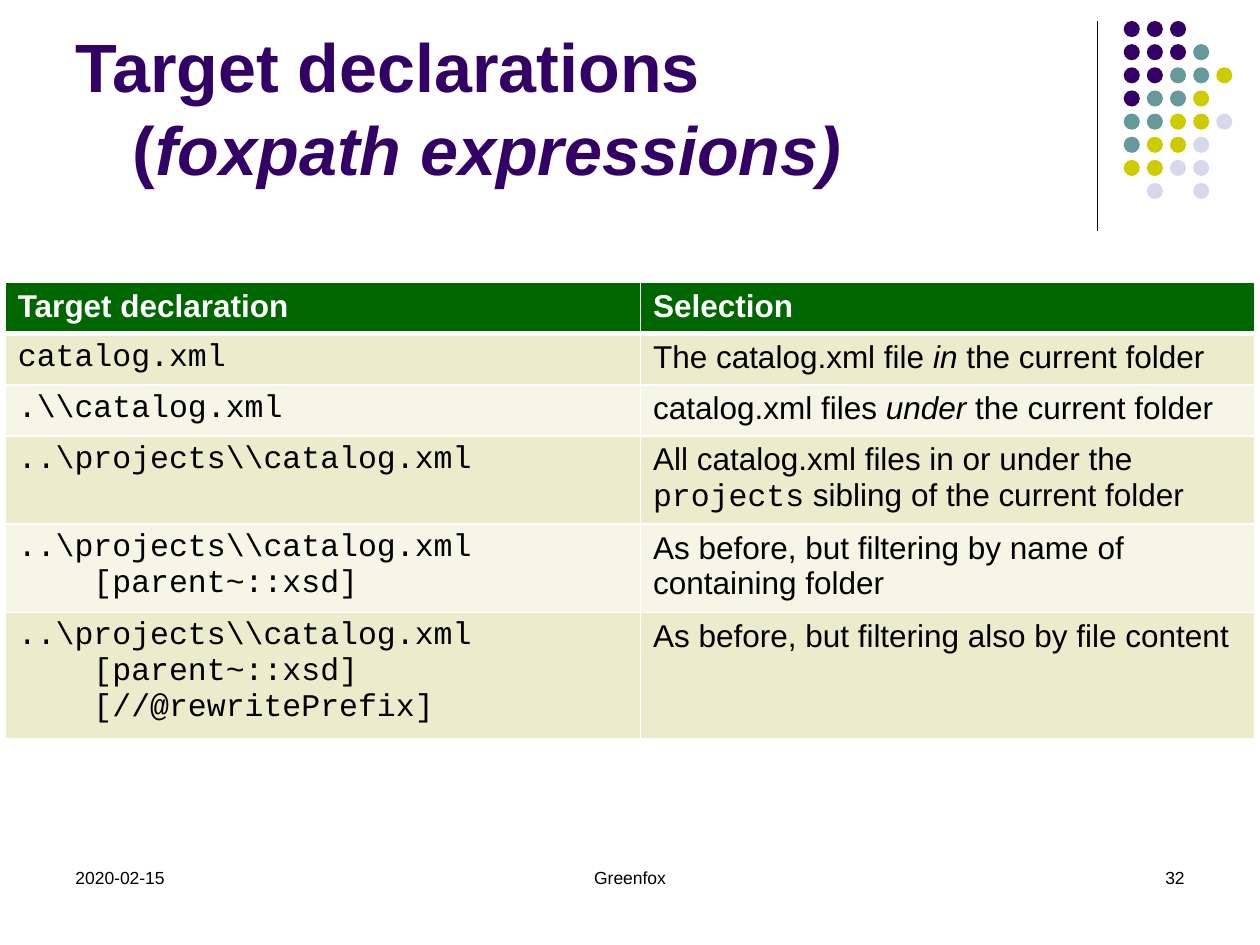
from dataclasses import dataclass

from lxml.etree import SubElement
from pptx import Presentation
from pptx.dml.color import RGBColor
from pptx.enum.shapes import MSO_CONNECTOR, MSO_SHAPE
from pptx.enum.text import MSO_ANCHOR, MSO_AUTO_SIZE, PP_ALIGN
from pptx.oxml.ns import qn
from pptx.util import Pt


@dataclass(frozen=True)
class Theme:
    sans: str = "Arial"
    mono: str = "Courier New"
    title_size: float = 39
    title_leading: float = 47
    table_size: float = 18
    footer_size: float = 10
    black: str = "000000"
    white: str = "FFFFFF"
    purple: str = "330066"
    teal: str = "669999"
    olive: str = "CCCC00"
    lavender: str = "D8D8EC"
    header: str = "006600"
    bands: tuple = ("ECECCC", "F6F6E7")


@dataclass(frozen=True)
class Box:
    left: float
    top: float
    width: float
    height: float

    def lengths(self):
        return Pt(self.left), Pt(self.top), Pt(self.width), Pt(self.height)


THEME = Theme()

DOT_ROWS = ["PPP", "PPPT", "PPTTO", "PTTO", "TTOOL", "TOOL", "OOLL", " L L"]
DOT_COLORS = {"P": THEME.purple, "T": THEME.teal, "O": THEME.olive, "L": THEME.lavender}

CATALOG = r"..\projects\\catalog.xml"
HEADINGS = ["Target declaration", "Selection"]
TARGETS = [
    (["catalog.xml"],
     [("The catalog.xml file ", ""), ("in", "italic"), (" the current folder", "")]),
    ([r".\\catalog.xml"],
     [("catalog.xml files ", ""), ("under", "italic"), (" the current folder", "")]),
    ([CATALOG],
     [("All catalog.xml files in or under the ", ""), ("projects", "code"),
      (" sibling of the current folder", "")]),
    ([CATALOG, "[parent~::xsd]"],
     [("As before, but filtering by name of containing folder", "")]),
    ([CATALOG, "[parent~::xsd]", "[//@rewritePrefix]"],
     [("As before, but filtering also by file content", "")]),
]


def set_font(font, name, size, color, bold=False):
    font.name = name
    font.size = Pt(size)
    font.bold = bold
    font.color.rgb = RGBColor.from_string(color)


def set_indent(para, left, first=0):
    properties = para._p.get_or_add_pPr()
    properties.set("marL", str(Pt(left)))
    properties.set("indent", str(Pt(first)))


def add_title(page, box):
    title = page.shapes.title
    title.left, title.top, title.width, title.height = box.lengths()
    frame = title.text_frame
    frame.auto_size = MSO_AUTO_SIZE.NONE
    frame.word_wrap = True
    frame.vertical_anchor = MSO_ANCHOR.BOTTOM
    para = frame.paragraphs[0]
    para.alignment = PP_ALIGN.LEFT
    para.line_spacing = Pt(THEME.title_leading)
    set_indent(para, 32.5, -32.5)
    set_font(para.font, THEME.sans, THEME.title_size, THEME.purple, bold=True)
    para.add_run().text = "Target declarations"
    para.add_line_break()
    para.add_run().text = "("
    span = para.add_run()
    span.text = "foxpath expressions)"
    span.font.italic = True


def add_ornament(page, box):
    rule = page.shapes.add_connector(
        MSO_CONNECTOR.STRAIGHT, Pt(box.left), Pt(box.top),
        Pt(box.left), Pt(box.top + box.height))
    rule.line.color.rgb = RGBColor.from_string(THEME.black)
    rule.line.width = Pt(0.75)
    SubElement(rule._element.spPr, qn("a:effectLst"))

    diameter, offset = 9.2, 15.1
    step = (box.width - offset - diameter) / 4
    dots = page.shapes.add_group_shape()
    for row, letters in enumerate(DOT_ROWS):
        for column, letter in enumerate(letters):
            if letter not in DOT_COLORS:
                continue
            place = Box(box.left + offset + column * step, box.top + row * step,
                        diameter, diameter)
            dot = dots.shapes.add_shape(MSO_SHAPE.OVAL, *place.lengths())
            dot.shadow.inherit = False
            dot.fill.solid()
            dot.fill.fore_color.rgb = RGBColor.from_string(DOT_COLORS[letter])
            dot.line.fill.background()


def style_cell(cell, color, top=1, bottom=1):
    properties = cell._tc.get_or_add_tcPr()
    for tag, width in (("lnL", 1), ("lnR", 1), ("lnT", top), ("lnB", bottom)):
        border = SubElement(properties, qn(f"a:{tag}"), w=str(Pt(width)))
        fill = SubElement(border, qn("a:solidFill"))
        SubElement(fill, qn("a:srgbClr"), val=THEME.white)
    cell.fill.solid()
    cell.fill.fore_color.rgb = RGBColor.from_string(color)


def write_code(cell, lines):
    frame = cell.text_frame
    for index, line in enumerate(lines):
        para = frame.add_paragraph() if index else frame.paragraphs[0]
        para.text = line
        set_font(para.font, THEME.mono, THEME.table_size, THEME.black)
        if index:
            set_indent(para, 43.2)


def write_selection(cell, spans):
    para = cell.text_frame.paragraphs[0]
    set_font(para.font, THEME.sans, THEME.table_size, THEME.black)
    for text, style in spans:
        span = para.add_run()
        span.text = text
        if style == "italic":
            span.font.italic = True
        elif style == "code":
            span.font.name = THEME.mono


def add_targets(page, box):
    count = len(TARGETS) + 1
    table = page.shapes.add_table(count, len(HEADINGS), *box.lengths()).table
    table.columns[0].width = Pt(363)
    table.columns[1].width = Pt(box.width - 363)
    for row in table.rows:
        row.height = Pt(box.height / count)
    for column, heading in enumerate(HEADINGS):
        cell = table.cell(0, column)
        style_cell(cell, THEME.header, bottom=3)
        para = cell.text_frame.paragraphs[0]
        para.text = heading
        set_font(para.font, THEME.sans, THEME.table_size, THEME.white, bold=True)
    for row, (lines, spans) in enumerate(TARGETS, start=1):
        code, selection = table.cell(row, 0), table.cell(row, 1)
        for cell in (code, selection):
            style_cell(cell, THEME.bands[(row - 1) % 2], top=3 if row == 1 else 1)
        write_code(code, lines)
        write_selection(selection, spans)


def add_footer(page, box):
    side, middle = 168, 261
    parts = [
        ("2020-02-15", 0, side, PP_ALIGN.LEFT),
        ("Greenfox", (box.width - middle) / 2, middle, PP_ALIGN.CENTER),
        ("32", box.width - side, side, PP_ALIGN.RIGHT),
    ]
    for text, offset, width, alignment in parts:
        place = Box(box.left + offset, box.top, width, box.height)
        frame = page.shapes.add_textbox(*place.lengths()).text_frame
        frame.word_wrap = True
        para = frame.paragraphs[0]
        para.text = text
        para.alignment = alignment
        set_font(para.font, THEME.sans, THEME.footer_size, THEME.black)


def main():
    deck = Presentation()
    deck.slide_width, deck.slide_height = Pt(720), Pt(540)
    page = deck.slides.add_slide(deck.slide_layouts[5])
    add_ornament(page, Box(627, 12, 77.2, 120))
    add_title(page, Box(36, 9.5, 594, 102))
    add_footer(page, Box(36, 492, 648, 36))
    add_targets(page, Box(3, 161.5, 714, 175.2))
    deck.save("out.pptx")


if __name__ == "__main__":
    main()
